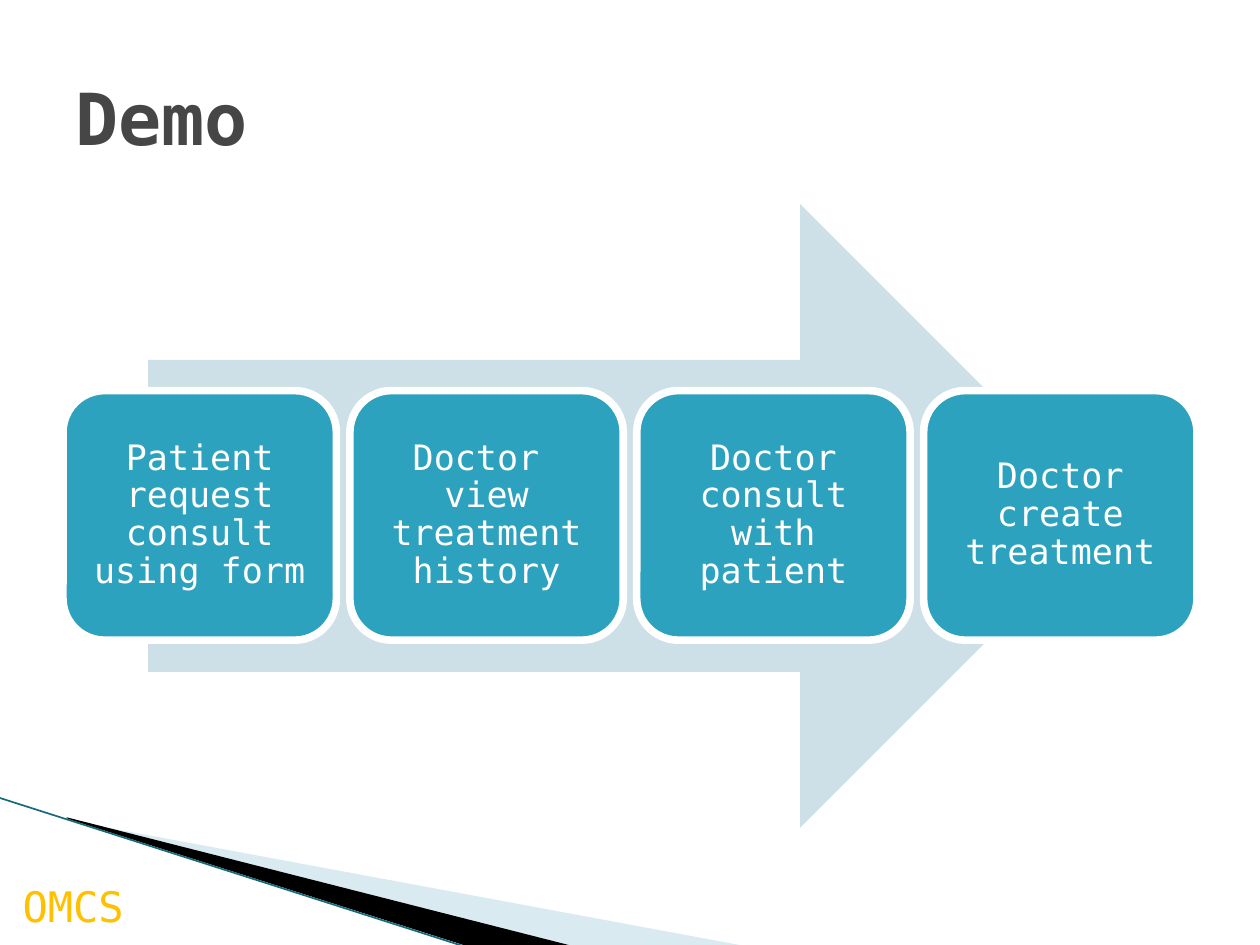
from dataclasses import dataclass

import pptx
import pptx.dml.color
import pptx.enum.shapes
import pptx.enum.text
import pptx.oxml.ns
import pptx.oxml.xmlchemy
import pptx.util

Pt = pptx.util.Pt
Shape = pptx.enum.shapes.MSO_SHAPE
Align = pptx.enum.text.PP_ALIGN
Anchor = pptx.enum.text.MSO_ANCHOR


@dataclass(frozen=True)
class Theme:
    font: str = "DejaVu Sans Mono"
    heading: str = "464646"
    mark: str = "FFC000"
    card: str = "2DA2BF"
    light: str = "FFFFFF"
    arrow: str = "CDE0E8"
    pale_band: str = "A0CBDC"
    dark_band: str = "000000"
    edge: str = "17697C"
    heading_size: float = 41
    mark_size: float = 24
    card_size: float = 20


@dataclass(frozen=True)
class Band:
    points: tuple[tuple[float, float], ...]
    color: str
    opacity: int = 100


THEME = Theme()
BANDS = (
    Band(((39.6, 468.7), (428.4, 540.7), (328.3, 540.7), (39.6, 468)),
         THEME.pale_band, 40),
    Band(((38.2, 467.3), (329, 540.7), (267.8, 541.4), (38.9, 468)),
         THEME.dark_band),
)
STEPS = (
    "Patient request consult using form",
    "Doctor  view treatment history",
    "Doctor consult with patient",
    "Doctor create treatment",
)


def rgb(color: str) -> pptx.dml.color.RGBColor:
    return pptx.dml.color.RGBColor.from_string(color)


def paint(shape, color: str, opacity: int = 100) -> None:
    shape.shadow.inherit = False
    shape.line.fill.background()
    shape.fill.solid()
    shape.fill.fore_color.rgb = rgb(color)
    if opacity < 100:
        fill_color = shape._element.spPr.find(
            pptx.oxml.ns.qn("a:solidFill") + "/" + pptx.oxml.ns.qn("a:srgbClr"))
        alpha = pptx.oxml.xmlchemy.OxmlElement("a:alpha")
        alpha.set("val", str(opacity * 1000))
        fill_color.append(alpha)


def write(shape, text: str, *, size: float, color: str, bold: bool = False,
          align=Align.LEFT, anchor=Anchor.TOP, wrap: bool = True,
          inset: tuple[float, float] = (7.2, 3.6), spacing: float = 1.0) -> None:
    frame = shape.text_frame
    frame.word_wrap = wrap
    frame.vertical_anchor = anchor
    frame.margin_left = frame.margin_right = Pt(inset[0])
    frame.margin_top = frame.margin_bottom = Pt(inset[1])
    paragraph = frame.paragraphs[0]
    paragraph.alignment = align
    paragraph.line_spacing = spacing
    run = paragraph.add_run()
    run.text = text
    run.font.name = THEME.font
    run.font.size = Pt(size)
    run.font.bold = bold
    run.font.color.rgb = rgb(color)


def draw_band(slide, band: Band) -> None:
    start, *rest = band.points
    outline = slide.shapes.build_freeform(*start, scale=float(Pt(1)))
    outline.add_line_segments(rest, close=True)
    paint(outline.convert_to_shape(), band.color, band.opacity)


def draw_step(slide, text: str, left: float, width: float) -> None:
    card = slide.shapes.add_shape(
        Shape.ROUNDED_RECTANGLE, Pt(left), Pt(223.2), Pt(width), Pt(142.6))
    paint(card, THEME.card)
    card.line.color.rgb = rgb(THEME.light)
    card.line.width = Pt(4.33)
    write(card, text, size=THEME.card_size, color=THEME.light,
          align=Align.CENTER, anchor=Anchor.MIDDLE, inset=(6, 6), spacing=0.9)


deck = pptx.Presentation()
deck.slide_width, deck.slide_height = Pt(720), Pt(540)
slide = deck.slides.add_slide(deck.slide_layouts[6])

# Corner decoration
for band in BANDS:
    draw_band(slide, band)
edge = slide.shapes.add_connector(
    pptx.enum.shapes.MSO_CONNECTOR.STRAIGHT,
    Pt(-0.7), Pt(455.8), Pt(267.1), Pt(541.4))
edge.line.color.rgb = rgb(THEME.edge)
edge.line.width = Pt(0.95)
edge._element.spPr.append(pptx.oxml.xmlchemy.OxmlElement("a:effectLst"))

# Project mark
mark = slide.shapes.add_textbox(Pt(5.8), Pt(499.7), Pt(84.2), Pt(36))
write(mark, "OMCS", size=THEME.mark_size, color=THEME.mark, wrap=False)

# Process arrow with its steps
arrow = slide.shapes.add_shape(
    Shape.RIGHT_ARROW, Pt(84.6), Pt(116.6), Pt(550.8), Pt(356.4))
paint(arrow, THEME.arrow)

STEPS_LEFT, STEPS_WIDTH, STEP_GAP = 36, 648, 7.7
step_width = (STEPS_WIDTH - STEP_GAP * (len(STEPS) - 1)) / len(STEPS)
for index, step in enumerate(STEPS):
    draw_step(slide, step, STEPS_LEFT + index * (step_width + STEP_GAP), step_width)

# Heading
heading = slide.shapes.add_textbox(Pt(36), Pt(21.6), Pt(648), Pt(90))
write(heading, "Demo", size=THEME.heading_size, color=THEME.heading, bold=True,
      anchor=Anchor.MIDDLE)

deck.save("out.pptx")
